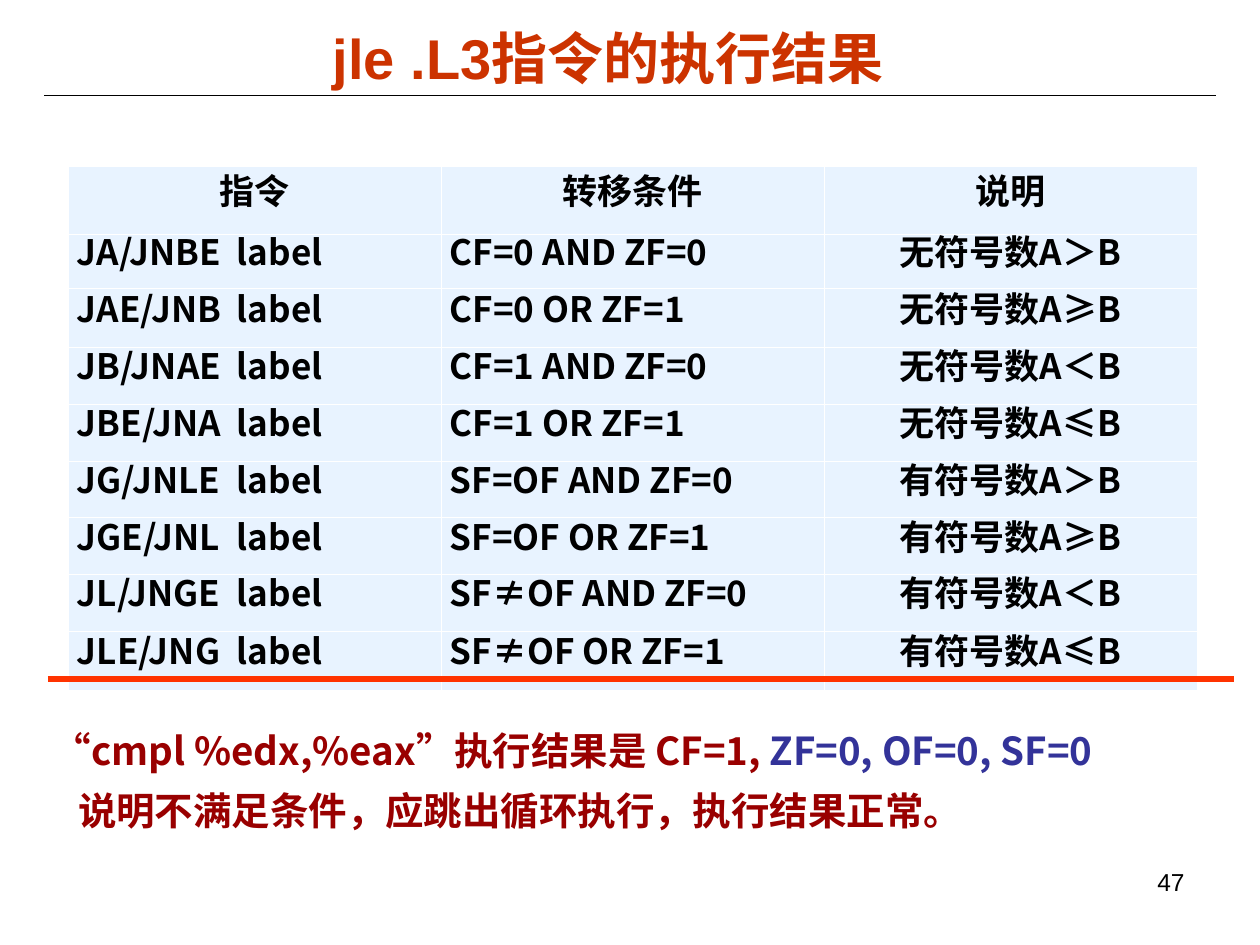
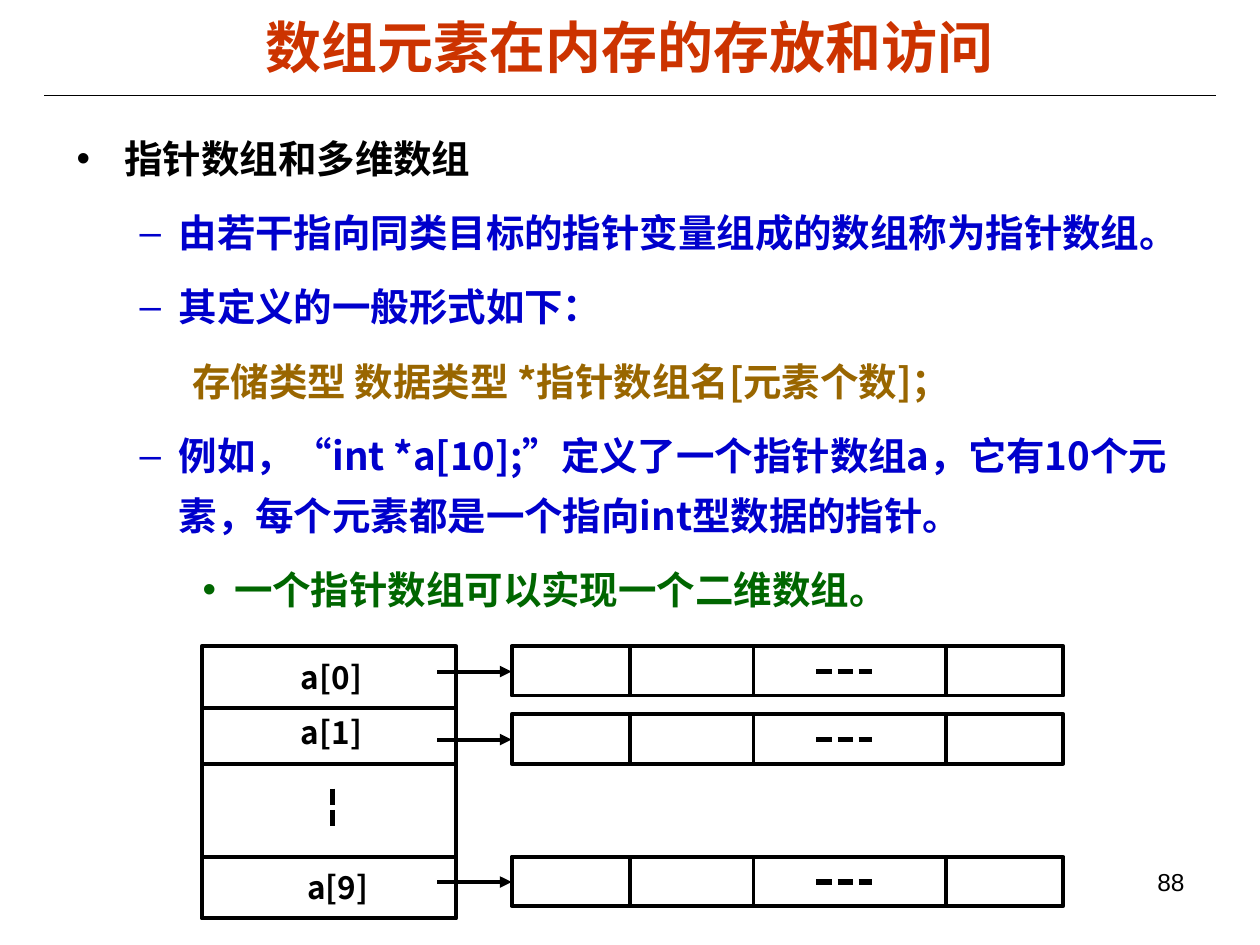
"""Build two lecture slides on jump conditions and pointer arrays."""
import lxml.etree
import pptx
import pptx.dml.color
import pptx.enum.dml
import pptx.enum.shapes
import pptx.enum.text
import pptx.oxml.ns
import pptx.util

Inches = pptx.util.Inches
Pt = pptx.util.Pt
ALIGN = pptx.enum.text.PP_ALIGN
ANCHOR = pptx.enum.text.MSO_ANCHOR

LATIN, CJK = "Arial", "Noto Sans CJK SC"
BLACK, WHITE, TITLE_RED, CELL_BLUE = "000000", "FFFFFF", "CC3300", "E8F3FF"
DARK_RED, INDIGO, MARK_RED = "990000", "333399", "FF3300"
BLUE, OCHRE, GREEN = "0000CC", "996600", "006600"

JUMP_TITLE = ("jle .L3指令的执行结果", (1.75, 0.16, 6.16, 0.58))
JUMP_HEADINGS = ("指令", "转移条件", "说明")
JUMPS = [
    ("JA/JNBE", "CF=0 AND ZF=0", "无符号数A＞B"),
    ("JAE/JNB", "CF=0 OR ZF=1", "无符号数A≥B"),
    ("JB/JNAE", "CF=1 AND ZF=0", "无符号数A＜B"),
    ("JBE/JNA", "CF=1 OR ZF=1", "无符号数A≤B"),
    ("JG/JNLE", "SF=OF AND ZF=0", "有符号数A＞B"),
    ("JGE/JNL", "SF=OF OR ZF=1", "有符号数A≥B"),
    ("JL/JNGE", "SF≠OF AND ZF=0", "有符号数A＜B"),
    ("JLE/JNG", "SF≠OF OR ZF=1", "有符号数A≤B"),
]
COLUMN_WIDTHS = (2.96, 3.04, 2.96)
ROW_HEIGHTS = (0.54, 0.43, 0.47, 0.45, 0.45, 0.45, 0.45, 0.45, 0.47)
LABEL_TAB = 1.27
CONCLUSION = [
    (0, [("“cmpl %edx,%eax”执行结果是 CF=1,", DARK_RED), (" ZF=0, OF=0, SF=0", INDIGO)]),
    (0.2, [("说明不满足条件，应跳出循环执行，执行结果正常。", DARK_RED)]),
]

ARRAY_TITLE = ("数组元素在内存的存放和访问", (0.5, 0.06, 9, 0.61))
ARRAY_POINTS = [
    ("•", 0.38, -0.38, BLACK, "指针数组和多维数组"),
    ("–", 0.81, -0.31, BLUE, "由若干指向同类目标的指针变量组成的数组称为指针数组。"),
    ("–", 0.81, -0.31, BLUE, "其定义的一般形式如下："),
    (None, 0.92, 0, OCHRE, "存储类型 数据类型 *指针数组名[元素个数]；"),
    ("–", 0.81, -0.31, BLUE,
     "例如，“int *a[10];”定义了一个指针数组a，它有10个元素，每个元素都是一个指向int型数据的指针。"),
    ("•", 1.25, -0.25, GREEN, "一个指针数组可以实现一个二维数组。"),
]
POINTER_BOX = (1.6, 5.13, 2.02, 2.16)
POINTER_DIVIDERS = (5.62, 6.06, 6.8)
POINTER_LABELS = [("a[0]", 2.29, 5.22), ("a[1]", 2.29, 5.66), ("a[9]", 2.34, 6.89)]
TARGET_TOPS = (5.13, 5.67, 6.8)
TARGET_LEFT, TARGET_WIDTH, TARGET_HEIGHT = 4.06, 4.38, 0.39
TARGET_DIVIDERS = (5, 5.98, 7.51)


def rgb(colour):
    return pptx.dml.color.RGBColor.from_string(colour)


def add_xml(parent, tag, **attributes):
    return lxml.etree.SubElement(parent, pptx.oxml.ns.qn(tag), **attributes)


def style(paragraph, size, colour, face=CJK, bold=True, align=ALIGN.LEFT, spacing=None):
    paragraph.alignment = align
    paragraph.line_spacing = spacing
    font = paragraph.font
    font.size, font.bold, font.name = Pt(size), bold, face
    font.color.rgb = rgb(colour)
    if face == CJK:
        add_xml(paragraph._p.pPr.get_or_add_defRPr(), "a:ea", typeface=face)


def indent(paragraph, left, first=0, bullet=None, colour=BLACK):
    properties = paragraph._p.get_or_add_pPr()
    properties.set("marL", str(Inches(left)))
    properties.set("indent", str(Inches(first)))
    if bullet:
        add_xml(add_xml(properties, "a:buClr"), "a:srgbClr", val=colour)
        add_xml(properties, "a:buFont", typeface=LATIN)
        add_xml(properties, "a:buChar", char=bullet)


def add_box(slide, place, insets=(0.1, 0.05), anchor=ANCHOR.TOP):
    frame = slide.shapes.add_textbox(*map(Inches, place)).text_frame
    frame.word_wrap = True
    frame.vertical_anchor = anchor
    frame.margin_left = frame.margin_right = Inches(insets[0])
    frame.margin_top = frame.margin_bottom = Inches(insets[1])
    return frame


def add_line(slide, start, end, colour=BLACK, width=2.25, dotted=False, arrow=False):
    line = slide.shapes.add_connector(
        pptx.enum.shapes.MSO_CONNECTOR.STRAIGHT, *map(Inches, start + end))
    line.line.color.rgb = rgb(colour)
    line.line.width = Pt(width)
    if dotted:
        line.line.dash_style = pptx.enum.dml.MSO_LINE.SQUARE_DOT
    if arrow:
        add_xml(line.line._get_or_add_ln(), "a:tailEnd", type="triangle")
    add_xml(line._element.spPr, "a:effectLst")


def add_outline(slide, place):
    outline = slide.shapes.add_shape(
        pptx.enum.shapes.MSO_SHAPE.RECTANGLE, *map(Inches, place))
    outline.shadow.inherit = False
    outline.fill.solid()
    outline.fill.fore_color.rgb = rgb(WHITE)
    outline.line.color.rgb = rgb(BLACK)
    outline.line.width = Pt(2.25)


def start_slide(deck, title, number):
    slide = deck.slides.add_slide(deck.slide_layouts[6])
    add_line(slide, (0.35, 0.76), (9.65, 0.76), width=0.75)
    wording, place = title
    heading = add_box(slide, place, anchor=ANCHOR.MIDDLE).paragraphs[0]
    heading.text = wording
    style(heading, 32, TITLE_RED, LATIN, align=ALIGN.CENTER)
    page = add_box(slide, (7.17, 6.83, 2.33, 0.52)).paragraphs[0]
    page.text = str(number)
    style(page, 14, BLACK, LATIN, bold=False, align=ALIGN.RIGHT)
    return slide


def fill_cell(cell, wording, align, tab=None):
    cell.vertical_anchor = ANCHOR.MIDDLE
    cell.margin_left = cell.margin_right = Inches(0.07)
    cell.margin_top = cell.margin_bottom = Inches(0.05)
    properties = cell._tc.get_or_add_tcPr()
    for side in ("a:lnL", "a:lnR", "a:lnT", "a:lnB"):
        border = add_xml(properties, side, w=str(Pt(0.45)))
        add_xml(add_xml(border, "a:solidFill"), "a:srgbClr", val=WHITE)
    cell.fill.solid()
    cell.fill.fore_color.rgb = rgb(CELL_BLUE)
    paragraph = cell.text_frame.paragraphs[0]
    paragraph.text = wording
    if tab:
        stops = add_xml(paragraph._p.get_or_add_pPr(), "a:tabLst")
        add_xml(stops, "a:tab", pos=str(Inches(tab)), algn="l")
    style(paragraph, 20, BLACK, align=align, spacing=Pt(16))


def build_jump_slide(deck):
    slide = start_slide(deck, JUMP_TITLE, 47)
    rows = [JUMP_HEADINGS] + [(f"{name}\tlabel", test, note) for name, test, note in JUMPS]
    table = slide.shapes.add_table(
        len(rows), len(COLUMN_WIDTHS), Inches(0.54), Inches(1.32),
        Inches(sum(COLUMN_WIDTHS)), Inches(sum(ROW_HEIGHTS))).table
    table.first_row = table.horz_banding = False
    for column, width in zip(table.columns, COLUMN_WIDTHS):
        column.width = Inches(width)
    for r, (row, height) in enumerate(zip(rows, ROW_HEIGHTS)):
        table.rows[r].height = Inches(height)
        for c, wording in enumerate(row):
            align = ALIGN.CENTER if r == 0 or c == 2 else ALIGN.LEFT
            fill_cell(table.cell(r, c), wording, align, LABEL_TAB if "\t" in wording else None)
    add_line(slide, (0.38, 5.39), (9.79, 5.39), MARK_RED, 3)

    conclusion = add_box(slide, (0.35, 5.63, 9.24, 1.01), (0.07, 0.03))
    for i, (left, parts) in enumerate(CONCLUSION):
        paragraph = conclusion.add_paragraph() if i else conclusion.paragraphs[0]
        indent(paragraph, left)
        style(paragraph, 22, DARK_RED, spacing=1.3)
        for wording, colour in parts:
            run = paragraph.add_run()
            run.text = wording
            run.font.color.rgb = rgb(colour)


def build_array_slide(deck):
    slide = start_slide(deck, ARRAY_TITLE, 88)
    points = add_box(slide, (0.51, 0.91, 9, 4.11))
    for i, (bullet, left, first, colour, wording) in enumerate(ARRAY_POINTS):
        paragraph = points.add_paragraph() if i else points.paragraphs[0]
        paragraph.text = wording
        indent(paragraph, left, first, bullet, colour)
        style(paragraph, 22, colour, spacing=1.3)
        if i:
            paragraph.space_before = Pt(8.2)

    add_outline(slide, POINTER_BOX)
    left, right = POINTER_BOX[0], POINTER_BOX[0] + POINTER_BOX[2]
    for y in POINTER_DIVIDERS:
        add_line(slide, (left, y), (right, y))
    add_line(slide, (2.64, 6.26), (2.64, 6.56), width=3, dotted=True)
    for top in TARGET_TOPS:
        middle, bottom = top + 0.2, top + TARGET_HEIGHT
        add_line(slide, (3.47, middle), (TARGET_LEFT, middle), arrow=True)
        add_outline(slide, (TARGET_LEFT, top, TARGET_WIDTH, TARGET_HEIGHT))
        for x in TARGET_DIVIDERS:
            add_line(slide, (x, top), (x, bottom))
        add_line(slide, (6.48, middle), (6.92, middle), width=3, dotted=True)
    for name, x, y in POINTER_LABELS:
        label = add_box(slide, (x, y, 1.08, 0.3), (0.1, 0)).paragraphs[0]
        label.text = name
        style(label, 18, BLACK)


def main():
    deck = pptx.Presentation()
    deck.slide_width, deck.slide_height = Inches(10), Inches(7.5)
    build_jump_slide(deck)
    build_array_slide(deck)
    deck.save("out.pptx")


if __name__ == "__main__":
    main()
